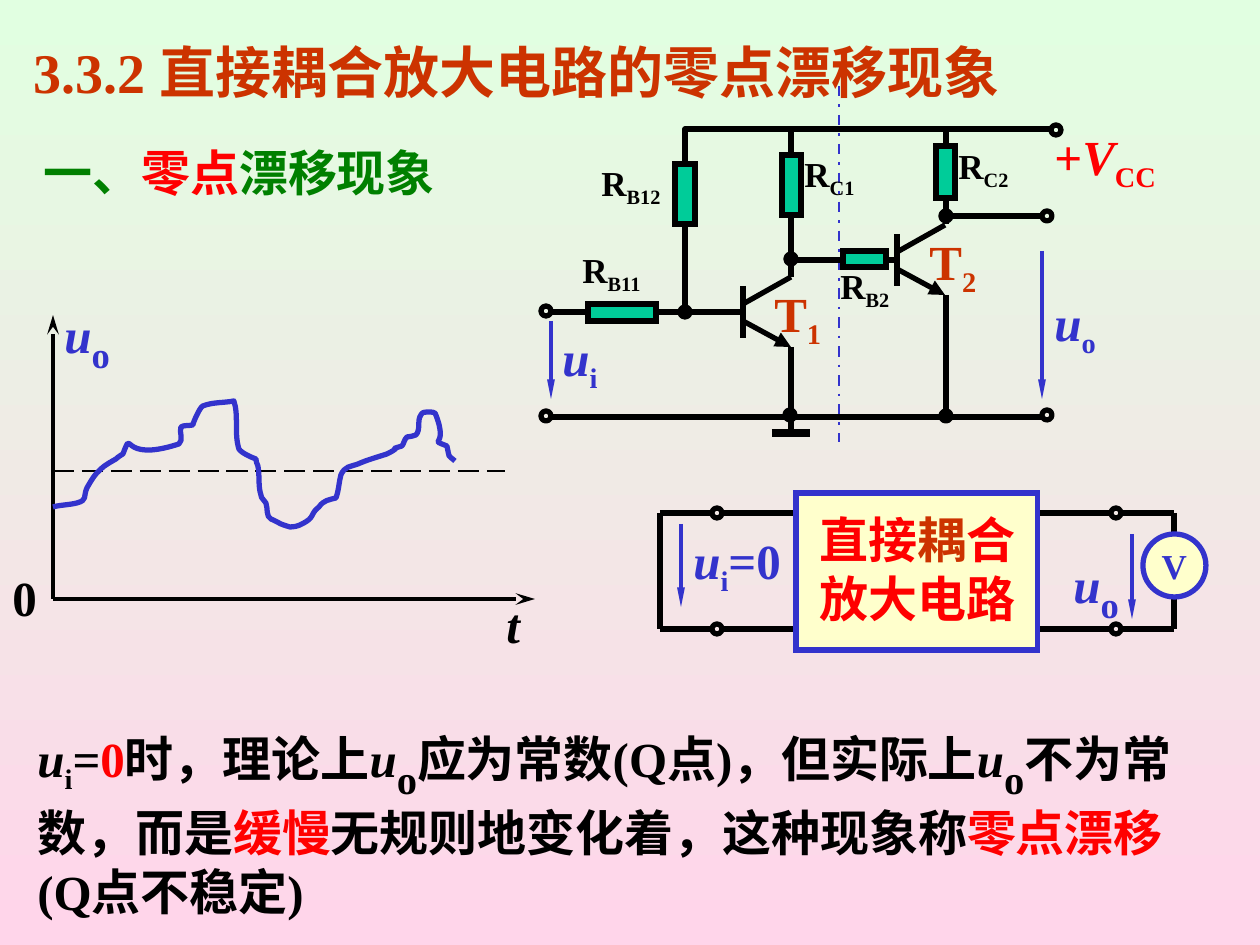
"""Build a slide on zero drift in direct-coupled amplifiers."""
import pptx
import pptx.dml.color
import pptx.enum.dml
import pptx.enum.shapes
import pptx.enum.text
import pptx.oxml.ns
import pptx.util
from lxml import etree

PX = 914400 / 126
BLACK, BLUE, RED, RUST = "000000", "3333CC", "FF0000", "CC3300"
GREEN, TEAL, CREAM = "008000", "00CC99", "FFFFCC"
hue = pptx.dml.color.RGBColor.from_string
qn = pptx.oxml.ns.qn
kinds = pptx.enum.shapes.MSO_SHAPE
dashes = pptx.enum.dml.MSO_LINE


def paint(item, line, width, fill=None):
    item.shadow.inherit = False
    item.line.color.rgb = hue(line)
    item.line.width = pptx.util.Pt(width)
    if fill:
        item.fill.solid()
        item.fill.fore_color.rgb = hue(fill)
    else:
        item.fill.background()


def write(frame, size, color, runs):
    par = frame.paragraphs[0]
    for words, style, *more in runs:
        run = par.add_run()
        run.text = words
        tint = next((m for m in more if isinstance(m, str)), color)
        points = next((m for m in more if isinstance(m, int)), size)
        look = {"name": "Times New Roman", "size": pptx.util.Pt(points),
                "bold": True, "italic": "i" in style}
        for key, value in look.items():
            setattr(run.font, key, value)
        run.font.color.rgb = hue(tint)
        if "_" in style:
            run.font._element.set("baseline", "-25000")


deck = pptx.Presentation()
deck.slide_width, deck.slide_height = round(1260 * PX), round(945 * PX)
slide = deck.slides.add_slide(deck.slide_layouts[6])
shapes = slide.shapes
back = slide.background.fill
back.gradient()
back.gradient_angle = 270
for stop, tint in zip(back.gradient_stops, ("E1FFE1", "FFD5EA")):
    stop.color.rgb = hue(tint)

title = shapes.add_textbox(*[round(n * PX) for n in (21, 31, 1218, 81)]).text_frame
title.word_wrap = True
write(title, 32, RUST, [("3.3.2 直接耦合放大电路的零点漂移现象", "")])

stealth, narrow, plain = ("stealth", "med", "lg"), ("triangle", "sm", "lg"), ("triangle", "med", "med")
lines = [
    (53, 599, 535, 599, BLACK, 2.25, None, stealth),
    (53, 599, 53, 315, BLACK, 2.25, None, stealth),
    (53, 471, 505, 471, BLACK, 1.5, dashes.LONG_DASH, None),
    (839, 86, 839, 442, BLUE, 1.5, dashes.DASH_DOT, None),
    (772, 433, 810, 433, BLACK, 4.5, None, None),
]
wires = [
    (551, 312, 743, 312), (791, 347, 791, 433), (791, 129, 791, 277),
    (791, 260, 897, 260), (946, 129, 946, 224), (946, 295, 946, 417),
    (551, 417, 1042, 417), (946, 216, 1042, 216),
    (660, 513, 660, 629), (1174, 513, 1174, 629),
]
for y in (513, 629):
    for left, right in ((660, 712), (722, 796), (1038, 1111), (1121, 1174)):
        wires.append((left, y, right, y))
for x, y in ((743, 312), (897, 260)):
    wires += [(x, y - 26, x, y + 26), (x, y - 8, x + 48, y - 35)]
    lines.append((x, y + 9, x + 48, y + 35, BLACK, 3, None, plain))
lines += [(*wire, BLACK, 3, None, None) for wire in wires]
for x, top, end in ((681, 524, 607), (1132, 534, 619), (551, 321, 399), (1042, 251, 399)):
    lines.append((x, top, x, end, BLUE, 2.25, None, narrow))

for x1, y1, x2, y2, tint, width, dash, head in lines:
    ends = [round(n * PX) for n in (x1, y1, x2, y2)]
    link = shapes.add_connector(pptx.enum.shapes.MSO_CONNECTOR.STRAIGHT, *ends)
    link.line.color.rgb = hue(tint)
    link.line.width = pptx.util.Pt(width)
    if dash:
        link.line.dash_style = dash
    props = link._element.spPr
    if head:
        tip = etree.SubElement(props.find(qn("a:ln")), qn("a:tailEnd"))
        for key, value in zip(("type", "w", "len"), head):
            tip.set(key, value)
    etree.SubElement(props, qn("a:effectLst"))

curves = [
    (60, 505, 69, 505, 77, 503), (88, 500, 83, 497, 87, 488),
    (91, 481, 95, 474, 101, 469), (105, 465, 111, 462, 116, 459),
    (118, 457, 123, 454, 123, 454), (134, 426, 118, 464, 179, 444),
    (184, 440, 179, 432, 181, 427), (184, 425, 189, 426, 193, 425),
    (193, 423, 200, 407, 203, 406), (213, 402, 224, 403, 234, 401),
    (239, 416, 234, 433, 239, 449), (242, 454, 256, 459, 256, 459),
    (256, 461, 257, 464, 258, 466), (260, 476, 258, 486, 261, 495),
    (261, 499, 265, 500, 266, 503), (268, 508, 266, 517, 271, 519),
    (284, 525, 277, 523, 290, 527), (294, 527, 299, 526, 302, 524),
    (316, 517, 309, 515, 319, 507), (324, 500, 329, 500, 336, 498),
    (339, 490, 339, 482, 341, 475), (345, 466, 350, 467, 358, 464),
    (367, 460, 378, 457, 387, 454), (407, 444, 383, 452, 402, 446),
    (404, 444, 404, 440, 407, 437), (410, 436, 413, 437, 416, 435),
    (421, 430, 417, 420, 421, 415), (422, 412, 426, 412, 428, 412),
    (431, 412, 436, 412, 436, 415), (449, 449, 427, 438, 447, 446),
    (450, 459, 447, 454, 455, 461),
]
drift = [(53, 507)] + [curve[4:] for curve in curves]
rail = [(685, 312), (685, 129), (1052, 129)]
for points, tint, bends in ((drift, BLUE, curves), (rail, BLACK, [])):
    pen = shapes.build_freeform(*points[0], scale=PX)
    pen.add_line_segments(points[1:], close=False)
    trace = pen.convert_to_shape()
    paint(trace, tint, 3)
    left, top = (min(axis) for axis in zip(*points))
    steps = list(trace._element.iter(qn("a:lnTo")))
    for step, bend in zip(steps, bends):
        cubic = etree.Element(qn("a:cubicBezTo"))
        for x, y in zip(bend[::2], bend[1::2]):
            etree.SubElement(cubic, qn("a:pt"), x=str(x - left), y=str(y - top))
        step.getparent().replace(step, cubic)

parts = [(kinds.RECTANGLE, 796, 493, 242, 157, BLUE, CREAM)]
for box in ((675, 164, 20, 60), (782, 155, 19, 60), (936, 146, 19, 52),
            (588, 304, 68, 17), (843, 251, 43, 16)):
    parts.append((kinds.RECTANGLE, *box, BLACK, TEAL))
ports = [(546, 311), (546, 416), (1047, 216), (1047, 415), (1056, 130),
         (717, 513), (717, 629), (1116, 513), (1116, 629)]
nodes = [(790, 415), (946, 416), (685, 312), (791, 259), (946, 216)]
for spots, fill in ((ports, None), (nodes, BLACK)):
    for x, y in spots:
        parts.append((kinds.OVAL, x - 5, y - 5, 10, 10, BLACK, fill))
parts.append((kinds.OVAL, 1143, 534, 63, 63, BLUE, CREAM))
for kind, x, y, w, h, tint, fill in parts:
    part = shapes.add_shape(kind, *[round(n * PX) for n in (x, y, w, h)])
    paint(part, tint, 3, fill)
    if kind == kinds.RECTANGLE:
        etree.SubElement(part._element.spPr.find(qn("a:ln")), qn("a:miter"), lim="800000")
meter = part.text_frame
meter.word_wrap = False
meter.vertical_anchor = pptx.enum.text.MSO_ANCHOR.MIDDLE
meter.paragraphs[0].alignment = pptx.enum.text.PP_ALIGN.CENTER
write(meter, 20, BLUE, [("V", "")])

texts = [
    (31, 136, 662, 72, 28, GREEN, [("一、", ""), ("零点", "", RED), ("漂移现象", "")]),
    (494, 588, 39, 72, 28, BLACK, [("t", "i")]),
    (52, 284, 96, 100, 28, BLUE, [("u", "i"), ("o", "_", 36)]),
    (0, 561, 49, 72, 28, BLACK, [("0", "")]),
    (1061, 534, 71, 100, 28, BLUE, [("u", "i"), ("o", "_", 36)]),
    (681, 524, 136, 79, 28, BLUE, [("u", "i"), ("i", "_"), ("=0", "")]),
    (807, 503, 231, 131, 28, RED, [("直接", ""), ("耦", "", RUST), ("合放大电路", "")]),
    (1042, 120, 183, 79, 28, RED, [("+", ""), ("V", "i"), ("CC", "_")]),
    (550, 321, 87, 79, 28, BLUE, [("u", "i"), ("i", "_")]),
    (1042, 286, 87, 79, 28, BLUE, [("u", "i"), ("o", "_")]),
    (25, 701, 1201, 226, 28, BLACK, [
        ("u", "i"), ("i", "_"), ("=", ""), ("0", "", RED), ("时，理论上", ""),
        ("u", "i"), ("o", "_", 40), ("应为常数(Q点)，但实际上", ""),
        ("u", "i"), ("o", "_", 40), ("不为常数，而是", ""), ("缓慢", "", RED),
        ("无规则地变化着，这种现象称", ""), ("零点漂移", "", RED), ("(Q点不稳定)", "")]),
]
for x, y, name in ((570, 242, "B11"), (589, 155, "B12"), (792, 146, "C1"),
                   (946, 138, "C2"), (828, 258, "B2")):
    texts.append((x, y, 116, 60, 20, BLACK, [("R", ""), (name, "_")]))
for x, y, name in ((762, 277, "1"), (917, 225, "2")):
    texts.append((x, y, 116, 79, 28, RUST, [("T", ""), (name, "_")]))
for x, y, w, h, size, tint, runs in texts:
    frame = shapes.add_textbox(*[round(n * PX) for n in (x, y, w, h)]).text_frame
    frame.word_wrap = w > 75
    frame.auto_size = pptx.enum.text.MSO_AUTO_SIZE.SHAPE_TO_FIT_TEXT
    write(frame, size, tint, runs)

deck.save("out.pptx")
